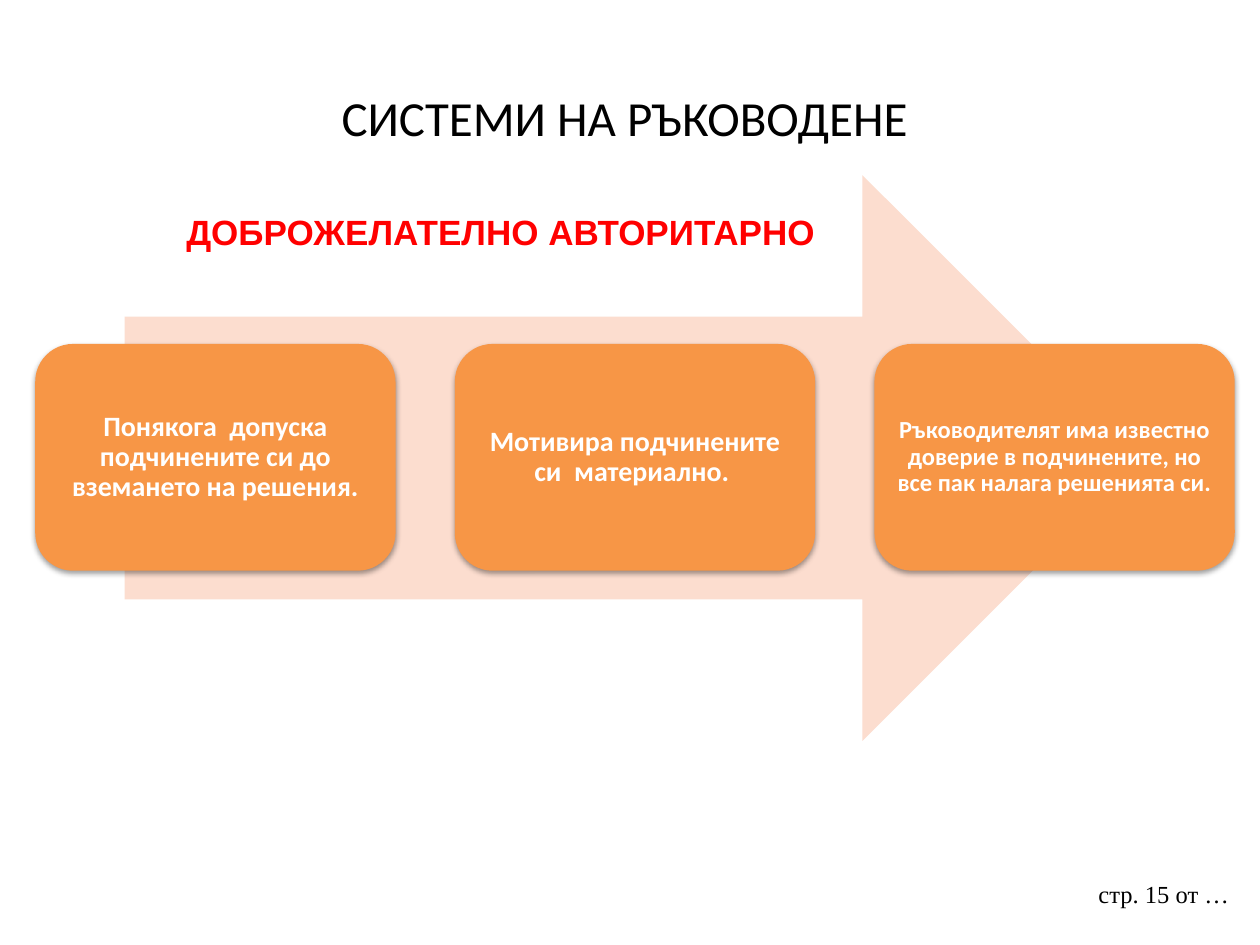
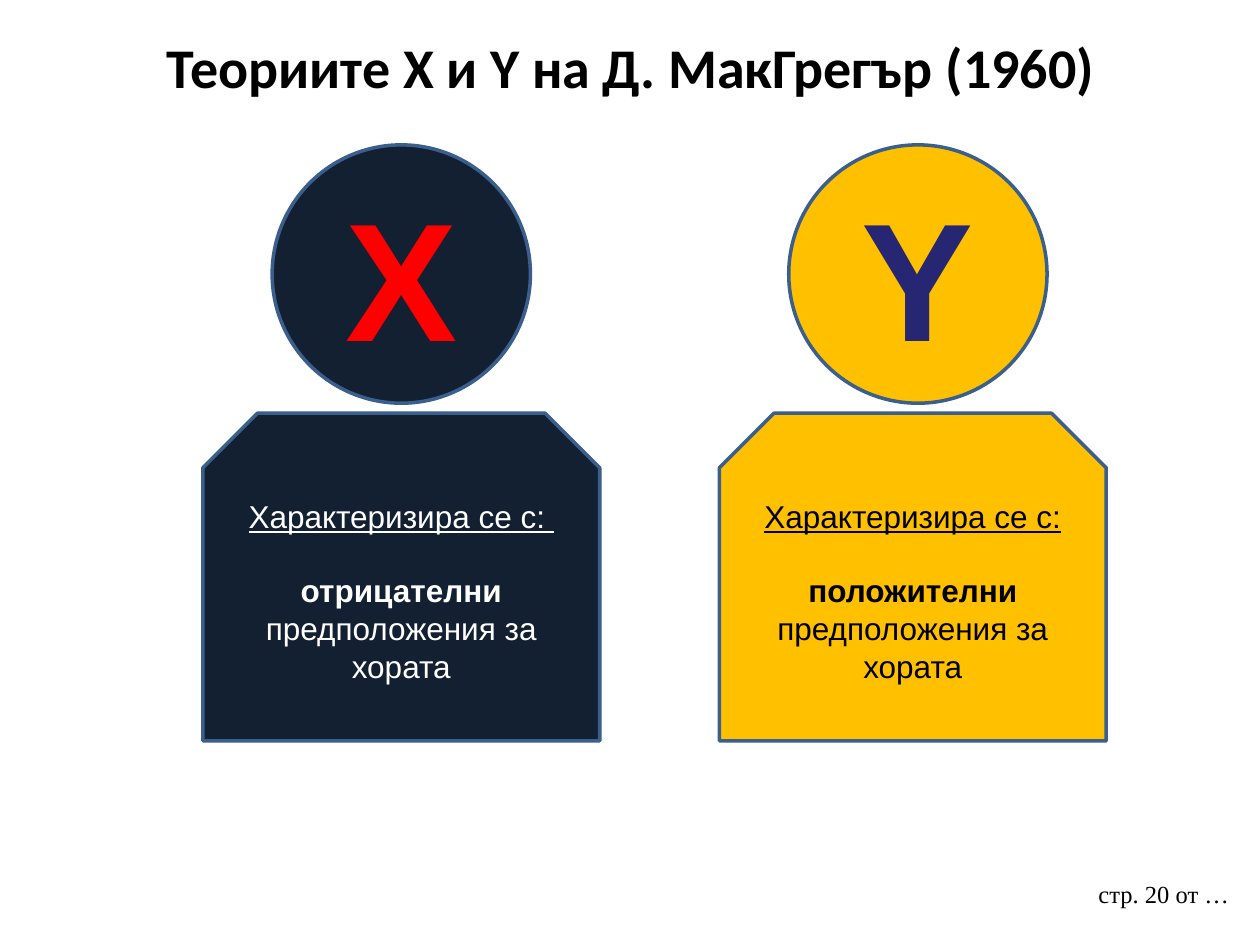
from dataclasses import dataclass

from lxml import etree
from pptx import Presentation
from pptx.dml.color import RGBColor
from pptx.enum.shapes import MSO_SHAPE
from pptx.enum.text import MSO_ANCHOR, PP_ALIGN
from pptx.oxml import parse_xml
from pptx.oxml.ns import nsdecls
from pptx.presentation import Presentation as PresentationType
from pptx.shapes.autoshape import Shape
from pptx.slide import Slide
from pptx.text.text import _Paragraph as Paragraph
from pptx.util import Emu, Pt

EMU_PER_PX = 9144
SLIDE_WIDTH = 1000
SLIDE_HEIGHT = 750

ARROW = MSO_SHAPE.RIGHT_ARROW
ROUNDED = MSO_SHAPE.ROUNDED_RECTANGLE
CIRCLE = MSO_SHAPE.FLOWCHART_CONNECTOR
SNIPPED = MSO_SHAPE.SNIP_2_SAME_RECTANGLE
LEFT = PP_ALIGN.LEFT
CENTER = PP_ALIGN.CENTER
TOP = MSO_ANCHOR.TOP
MIDDLE = MSO_ANCHOR.MIDDLE

BLACK = RGBColor(0x00, 0x00, 0x00)
WHITE = RGBColor(0xFF, 0xFF, 0xFF)
RED = RGBColor(0xFF, 0x00, 0x00)
PEACH = RGBColor(0xFC, 0xDD, 0xCF)
ORANGE = RGBColor(0xF7, 0x96, 0x46)
NAVY = RGBColor(0x12, 0x20, 0x31)
AMBER = RGBColor(0xFF, 0xC0, 0x00)
INDIGO = RGBColor(0x26, 0x26, 0x73)
OUTLINE = RGBColor(0x3A, 0x5F, 0x8C)

HEADING_FONT = "Calibri"
BODY_FONT = "Arial"
FOOTER_FONT = "Times New Roman"


@dataclass(frozen=True)
class Box:
    left: int
    top: int
    width: int
    height: int

    def emu(self) -> tuple[Emu, Emu, Emu, Emu]:
        return px(self.left), px(self.top), px(self.width), px(self.height)


@dataclass(frozen=True)
class Card:
    text: str
    size: int
    inset: int


@dataclass(frozen=True)
class Theory:
    letter: str
    letter_color: RGBColor
    fill: RGBColor
    text_color: RGBColor
    body_left: int
    body_width: int
    intro: str
    emphasis: str


FOOTER_BOX = Box(862, 693, 130, 52)
CARD_LEFT = 28
CARD_TOP = 273
CARD_WIDTH = 286
CARD_HEIGHT = 180
CARD_PITCH = 333
HEAD_OFFSET = 55
HEAD_SIZE = 205

CARDS = (
    Card("Понякога  допуска подчинените си до вземането на решения.", 16, 7),
    Card("Мотивира подчинените си  материално. ", 16, 7),
    Card("Ръководителят има известно доверие в подчинените, "
         "но все пак налага решенията си.", 14, 6),
)
THEORIES = (
    Theory("Х", RED, NAVY, WHITE, 161, 315, "Характеризира се с: ", "отрицателни"),
    Theory("Y", INDIGO, AMBER, BLACK, 571, 307, "Характеризира се с:", "положителни"),
)


def px(length: int) -> Emu:
    return Emu(length * EMU_PER_PX)


def write_text(paragraph: Paragraph, text: str, *, size: int, color: RGBColor,
               font: str = BODY_FONT, bold: bool = False,
               underline: bool = False, align: PP_ALIGN = CENTER) -> None:
    paragraph.alignment = align
    run = paragraph.add_run()
    run.text = text
    run.font.name = font
    run.font.size = Pt(size)
    run.font.color.rgb = color
    run.font.bold = bold
    run.font.underline = underline


def add_slide(presentation: PresentationType, title: str, box: Box, page: int, *,
              size: int, bold: bool, anchor: MSO_ANCHOR) -> Slide:
    slide = presentation.slides.add_slide(presentation.slide_layouts[5])
    placeholder = slide.shapes.title
    placeholder.left, placeholder.top, placeholder.width, placeholder.height = box.emu()
    placeholder.text_frame.vertical_anchor = anchor
    write_text(placeholder.text_frame.paragraphs[0], title, size=size,
               color=BLACK, font=HEADING_FONT, bold=bold)
    footer = add_text_box(slide, FOOTER_BOX, wrap=True)
    write_text(footer, f"стр. {page} от …", size=14, color=BLACK,
               font=FOOTER_FONT, align=LEFT)
    return slide


def add_text_box(slide: Slide, box: Box, *, wrap: bool) -> Paragraph:
    frame = slide.shapes.add_textbox(*box.emu()).text_frame
    frame.word_wrap = wrap
    return frame.paragraphs[0]


def add_filled_shape(slide: Slide, preset: MSO_SHAPE, box: Box, fill: RGBColor,
                     line: RGBColor | None = None) -> Shape:
    shape = slide.shapes.add_shape(preset, *box.emu())
    shape.shadow.inherit = False
    shape.fill.solid()
    shape.fill.fore_color.rgb = fill
    if line is None:
        shape.line.fill.background()
    else:
        shape.line.color.rgb = line
        shape.line.width = Pt(2)
    shape.text_frame.word_wrap = True
    shape.text_frame.vertical_anchor = MIDDLE
    return shape


def add_drop_shadow(shape: Shape) -> None:
    effects = shape.element.spPr.find("{*}effectLst")
    shadow = parse_xml(
        f'<a:outerShdw {nsdecls("a")} blurRad="40000" dist="20000" '
        'dir="5400000" rotWithShape="0"/>')
    color = etree.SubElement(shadow, etree.QName(effects, "srgbClr"), val="000000")
    etree.SubElement(color, etree.QName(effects, "alpha"), val="38000")
    effects.append(shadow)


def add_card(slide: Slide, card: Card, index: int) -> None:
    box = Box(CARD_LEFT + index * CARD_PITCH, CARD_TOP, CARD_WIDTH, CARD_HEIGHT)
    shape = add_filled_shape(slide, ROUNDED, box, ORANGE)
    add_drop_shadow(shape)
    frame = shape.text_frame
    frame.margin_left = frame.margin_right = px(card.inset)
    frame.margin_top = frame.margin_bottom = px(card.inset)
    paragraph = frame.paragraphs[0]
    paragraph.line_spacing = 0.9
    write_text(paragraph, card.text, size=card.size, color=WHITE,
               font=HEADING_FONT, bold=True)


def add_theory(slide: Slide, theory: Theory) -> None:
    head_box = Box(theory.body_left + HEAD_OFFSET, 115, HEAD_SIZE, HEAD_SIZE)
    head = add_filled_shape(slide, CIRCLE, head_box, theory.fill, OUTLINE)
    write_text(head.text_frame.paragraphs[0], theory.letter, size=96,
               color=theory.letter_color, bold=True)

    body_box = Box(theory.body_left, 328, theory.body_width, 260)
    body = add_filled_shape(slide, SNIPPED, body_box, theory.fill, OUTLINE)
    write_text(body.text_frame.paragraphs[0], theory.intro, size=18,
               color=theory.text_color, underline=True)
    description = body.text_frame.add_paragraph()
    description.space_before = Pt(21)
    write_text(description, theory.emphasis, size=18,
               color=theory.text_color, bold=True)
    write_text(description, " предположения за хората", size=18,
               color=theory.text_color)


def build_management_slide(presentation: PresentationType) -> None:
    slide = add_slide(presentation, "СИСТЕМИ НА РЪКОВОДЕНЕ ",
                      Box(50, 30, 900, 125), 15, size=28, bold=False, anchor=MIDDLE)
    add_filled_shape(slide, ARROW, Box(99, 139, 810, 449), PEACH)
    for index, card in enumerate(CARDS):
        add_card(slide, card, index)
    heading = add_text_box(slide, Box(138, 162, 531, 44), wrap=False)
    write_text(heading, "ДОБРОЖЕЛАТЕЛНО АВТОРИТАРНО", size=20, color=RED,
               bold=True, align=LEFT)


def build_theories_slide(presentation: PresentationType) -> None:
    slide = add_slide(presentation, "Теориите Х и Y на Д. МакГрегър (1960)",
                      Box(51, 21, 900, 85), 20, size=32, bold=True, anchor=TOP)
    for theory in THEORIES:
        add_theory(slide, theory)


def main() -> None:
    presentation = Presentation()
    presentation.slide_width = px(SLIDE_WIDTH)
    presentation.slide_height = px(SLIDE_HEIGHT)
    build_management_slide(presentation)
    build_theories_slide(presentation)
    presentation.save("out.pptx")


if __name__ == "__main__":
    main()
